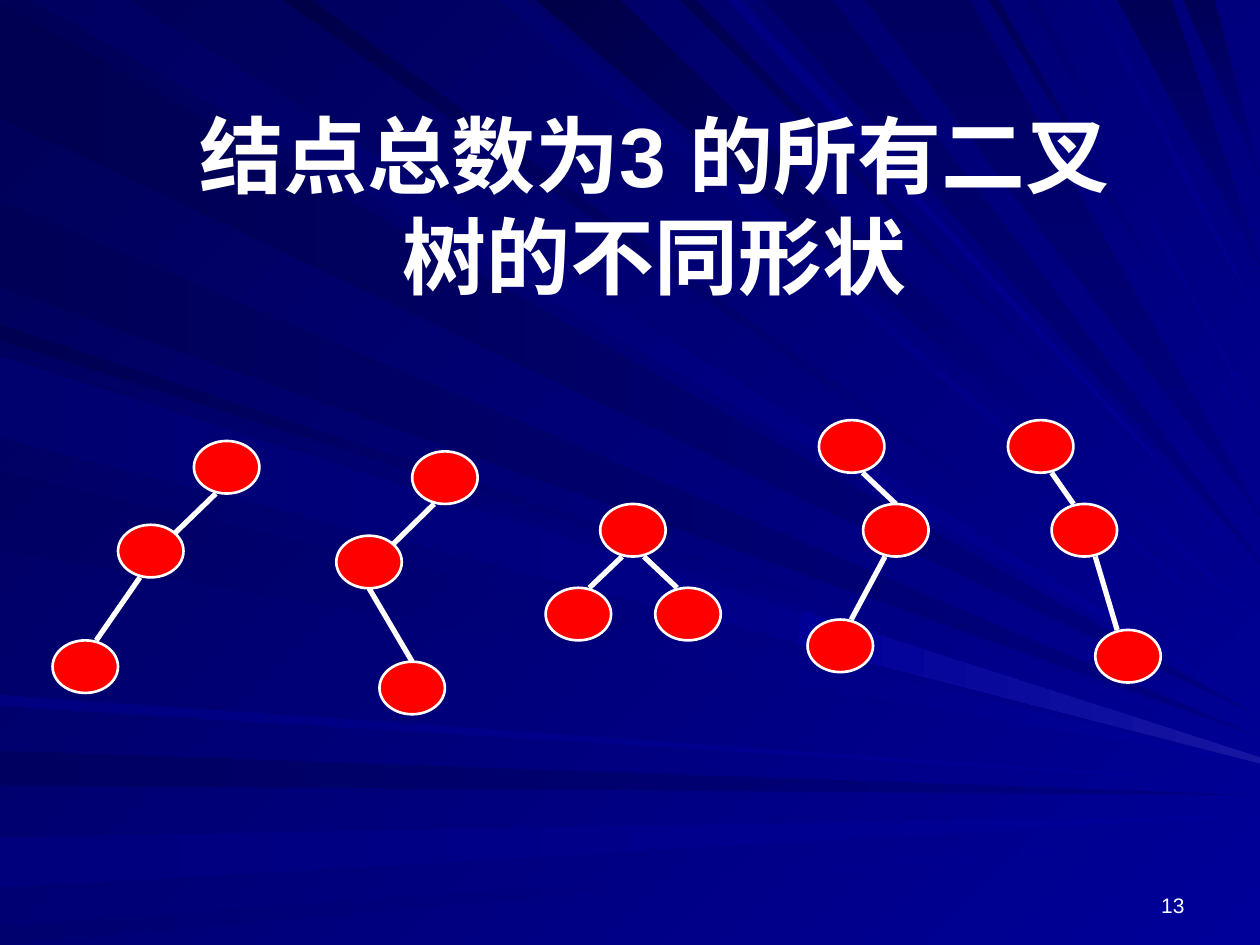
from lxml.etree import SubElement
from pptx import Presentation
from pptx.dml.color import RGBColor
from pptx.enum.shapes import MSO_CONNECTOR, MSO_SHAPE
from pptx.enum.text import MSO_ANCHOR, MSO_AUTO_SIZE, PP_ALIGN
from pptx.oxml.ns import qn
from pptx.util import Cm, Pt

COLORS = {
    "white": "FFFFFF", "red": "FF0000", "glow": "1616A1",
    "blue": "000099", "mid": "000080", "soft": "00007C", "dim": "00006E",
    "deep": "000060", "navy": "000057", "dark": "000051", "black": "000048",
}
LEFT, UP_LEFT, DOWN = 180, 135, 270  # counter-clockwise gradient angles


def color(name):
    return RGBColor.from_string(COLORS[name])


def paint_gradient(fill, start, end, angle):
    fill.gradient()
    fill.gradient_angle = angle
    for stop, name in zip(fill.gradient_stops, (start, end)):
        stop.color.rgb = color(name)


prs = Presentation()
prs.slide_width, prs.slide_height = Cm(25.4), Cm(19.05)
slide = prs.slides.add_slide(prs.slide_layouts[5])

# Background: rays from the left or top edge that meet the right edge,
# in thousandths of the slide width (from, to, height at the right edge)
paint_gradient(slide.background.fill, "blue", "navy", UP_LEFT)
RIGHT_EDGE = 1000
LEFT_RAYS = [
    (2, 93, 569, "mid", "dark", LEFT),
    (596, 623, 631, "mid", "deep", LEFT),
    (665, 704, 647, "blue", "soft", LEFT),
    (735, 750, 662, "blue", "dim", LEFT),
    (258, 270, 589, "blue", "dark", UP_LEFT),
    (159, 228, 585, "mid", "navy", LEFT),
    (278, 342, 600, "blue", "deep", UP_LEFT),
    (374, 437, 606, "blue", "deep", UP_LEFT),
    (552, 560, 622, "blue", "mid", LEFT),
    (283, 347, 604, "blue", "dim", LEFT),
]
TOP_RAYS = [
    (26, 101, 563, "blue", "deep", UP_LEFT),
    (398, 416, 518, "blue", "dim", UP_LEFT),
    (426, 492, 493, "blue", "black", UP_LEFT),
    (540, 552, 463, "blue", "dark", UP_LEFT),
    (606, 661, 446, "deep", "mid", DOWN),
    (225, 247, 550, "blue", "black", UP_LEFT),
    (577, 588, 454, "blue", "mid", UP_LEFT),
    (686, 770, 409, "deep", "mid", DOWN),
    (887, 930, 210, "navy", "mid", DOWN),
    (939, 964, 140, "navy", "mid", DOWN),
    (785, 792, 357, "blue", "navy", UP_LEFT),
    (815, 824, 336, "blue", "dim", UP_LEFT),
    (865, 872, 254, "blue", "soft", UP_LEFT),
]
outlines = [([(0, a), (0, b), (RIGHT_EDGE, tip)], shades) for a, b, tip, *shades in LEFT_RAYS]
outlines += [([(a, 0), (b, 0), (RIGHT_EDGE, tip)], shades) for a, b, tip, *shades in TOP_RAYS]
outlines.append(([(633, 511), (637, 485), (RIGHT_EDGE, 601), (RIGHT_EDGE, 606)],
                 ("glow", "blue", LEFT)))
rays = slide.shapes.add_group_shape()
for (corner, *others), shades in outlines:
    outline = rays.shapes.build_freeform(*corner, scale=prs.slide_width // RIGHT_EDGE)
    outline.add_line_segments(others, close=True)
    ray = outline.convert_to_shape()
    ray.shadow.inherit = False
    ray.line.fill.background()
    paint_gradient(ray.fill, *shades)

# Five binary trees: node corners in cm, then per branch the parent's index and
# where the branch leaves the parent and meets the child, as parts of a node
NODE_W, NODE_H = 1.32, 1.06
NEAR, MID, FAR = 1 / 3, 1 / 2, 2 / 3
SIDE = 5 / 6
TREES = [
    ([(3.91, 8.89), (2.38, 10.58), (1.06, 12.91)], [(0, NEAR, SIDE), (1, NEAR, FAR)]),
    ([(8.31, 9.1), (6.78, 10.8), (7.65, 13.34)], [(0, NEAR, SIDE), (1, MID, MID)]),
    ([(12.1, 10.16), (11, 11.85), (13.21, 11.85)], [(0, NEAR, FAR), (0, FAR, NEAR)]),
    ([(16.51, 8.47), (17.4, 10.16), (16.28, 12.49)], [(0, FAR, MID), (1, NEAR, FAR)]),
    ([(20.32, 8.47), (21.2, 10.16), (22.08, 12.7)], [(0, FAR, NEAR), (1, FAR, NEAR)]),
]
for nodes, branches in TREES:
    tree = slide.shapes.add_group_shape()
    for (child_x, child_y), (parent, leave, meet) in zip(nodes[1:], branches):
        parent_x, parent_y = nodes[parent]
        drop = 0.2 * NODE_H if meet == SIDE else 0
        branch = tree.shapes.add_connector(
            MSO_CONNECTOR.STRAIGHT,
            Cm(child_x + meet * NODE_W), Cm(child_y + drop),
            Cm(parent_x + leave * NODE_W), Cm(parent_y + NODE_H))
        branch.line.color.rgb = color("white")
        branch.line.width = Pt(3)
        SubElement(branch.element.spPr, qn("a:effectLst"))
    for left, top in nodes:
        node = tree.shapes.add_shape(
            MSO_SHAPE.OVAL, Cm(left), Cm(top), Cm(NODE_W), Cm(NODE_H))
        node.shadow.inherit = False
        node.fill.solid()
        node.fill.fore_color.rgb = color("red")
        node.line.color.rgb = color("white")
        node.line.width = Pt(1.5)
    # The lower branch lies over the nodes
    tree.element.append(branch.element)

# Title, brought in front of the rays
title = slide.shapes.title
title.left, title.top, title.width, title.height = Cm(3.6), Cm(3.18), Cm(19.18), Cm(1.88)
title.element.getparent().append(title.element)

# Slide number
number = slide.shapes.add_textbox(Cm(18.2), Cm(17.35), Cm(5.93), Cm(1.27))

for box, words, size, bold, align, anchor in [
    (title, "结点总数为3 的所有二叉树的不同形状", 48, True, PP_ALIGN.CENTER, MSO_ANCHOR.MIDDLE),
    (number, "13", 12, False, PP_ALIGN.RIGHT, MSO_ANCHOR.BOTTOM),
]:
    frame = box.text_frame
    frame.word_wrap = True
    frame.auto_size = MSO_AUTO_SIZE.NONE
    frame.vertical_anchor = anchor
    frame.paragraphs[0].alignment = align
    run = frame.paragraphs[0].add_run()
    run.text = words
    run.font.name = "Arial"
    run.font.size = Pt(size)
    run.font.bold = bold
    run.font.color.rgb = color("white")

prs.save("out.pptx")
